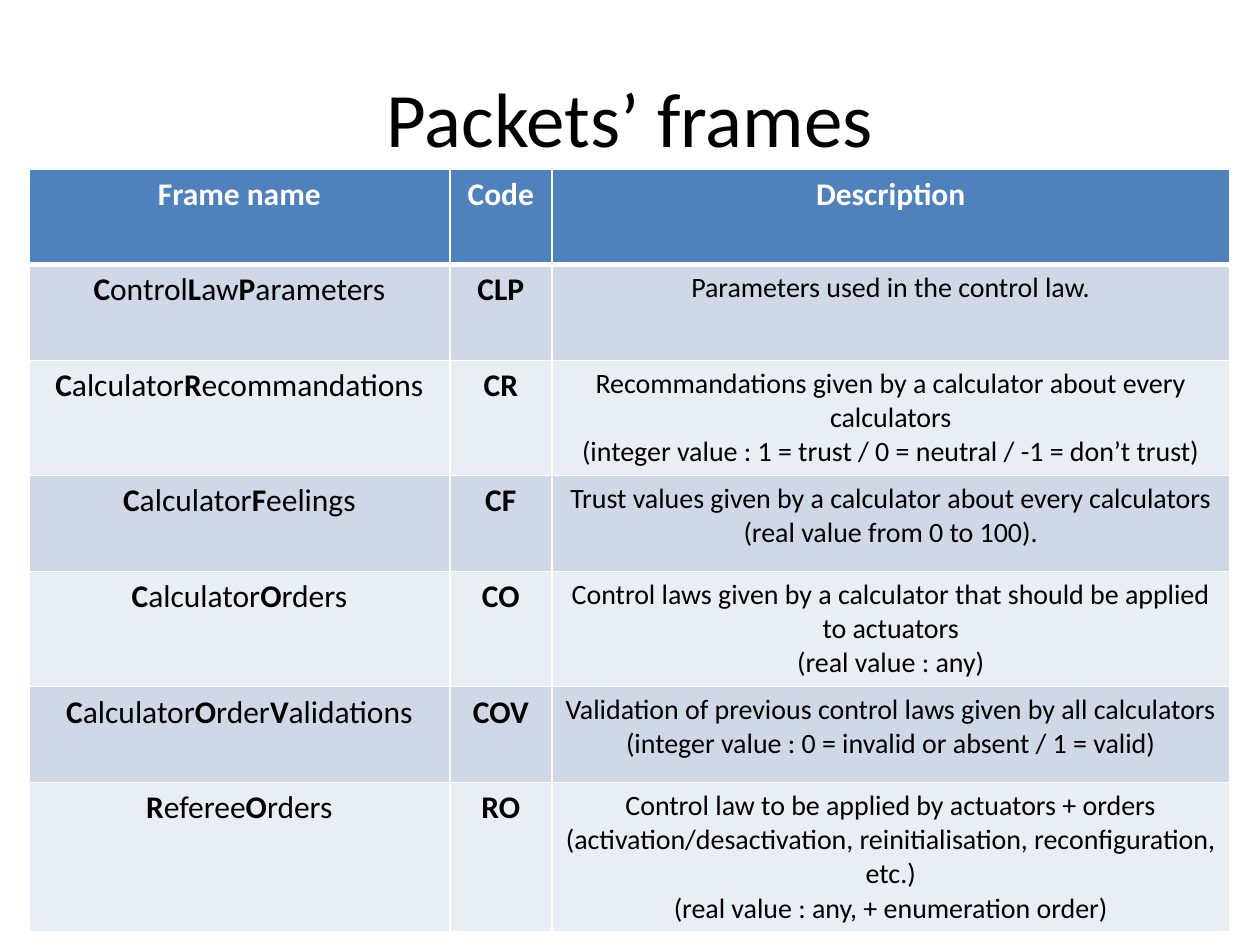
from itertools import groupby

from lxml.etree import SubElement
from pptx import Presentation
from pptx.dml.color import RGBColor
from pptx.enum.text import MSO_ANCHOR, PP_ALIGN
from pptx.oxml.ns import qn
from pptx.util import Inches, Pt

COLORS = {"text": "000000", "white": "FFFFFF", "header": "4F81BD",
          "odd": "D0D8E8", "even": "E9EDF4"}
WIDTH, HEIGHT = Inches(10), Inches(7.5)
COLUMNS = (3.34, 0.81, 5.38)
ROW_HEIGHT = 0.76
HEADINGS = ("Frame name", "Code", "Description")
FRAMES = (
    ("ControlLawParameters", "CLP", ("Parameters used in the control law.",)),
    ("CalculatorRecommandations", "CR",
     ("Recommandations given by a calculator about every calculators",
      "(integer value : 1 = trust / 0 = neutral / -1 = don’t trust)")),
    ("CalculatorFeelings", "CF",
     ("Trust values given by a calculator about every calculators",
      "(real value from 0 to 100).")),
    ("CalculatorOrders", "CO",
     ("Control laws given by a calculator that should be applied to actuators",
      "(real value : any)")),
    ("CalculatorOrderValidations", "COV",
     ("Validation of previous control laws given by all calculators",
      "(integer value : 0 = invalid or absent / 1 = valid)")),
    ("RefereeOrders", "RO",
     ("Control law to be applied by actuators + orders "
      "(activation/desactivation, reinitialisation, reconfiguration, etc.)",
      "(real value : any, + enumeration order)")),
)


def add_run(p, text, size, color="text", bold=False):
    """Append one styled run to a paragraph."""
    r = p.add_run()
    r.text = text
    r.font.name = "Calibri"
    r.font.size = Pt(size)
    r.font.bold = bold
    r.font.color.rgb = RGBColor.from_string(COLORS[color])


def write_lines(tf, lines, size, color="text", bold=False):
    """Write centred paragraphs into a text frame."""
    for i, line in enumerate(lines):
        p = tf.add_paragraph() if i else tf.paragraphs[0]
        p.alignment = PP_ALIGN.CENTER
        add_run(p, line, size, color, bold)


def write_name(tf, name):
    """Write a frame name with its capitals in bold."""
    p = tf.paragraphs[0]
    p.alignment = PP_ALIGN.CENTER
    for capital, letters in groupby(name, str.isupper):
        add_run(p, "".join(letters), 18, bold=capital)


def style_cell(cell, fill, top=1, bottom=1):
    """Set white borders and a solid fill on a cell."""
    tcPr = cell._tc.get_or_add_tcPr()
    for side, width in (("L", 1), ("R", 1), ("T", top), ("B", bottom)):
        ln = SubElement(tcPr, qn(f"a:ln{side}"), w=str(Pt(width)))
        solid = SubElement(ln, qn("a:solidFill"))
        SubElement(solid, qn("a:srgbClr"), val=COLORS["white"])
    cell.fill.solid()
    cell.fill.fore_color.rgb = RGBColor.from_string(COLORS[fill])


def add_frame_table(s):
    """Add the table of frame names, codes and descriptions."""
    rows = len(FRAMES) + 1
    sp = s.shapes.add_table(rows, len(COLUMNS), Inches(0.23), Inches(1.34),
                            Inches(sum(COLUMNS)), Inches(ROW_HEIGHT * rows))
    table = sp.table
    for column, width in zip(table.columns, COLUMNS):
        column.width = Inches(width)
    for row in table.rows:
        row.height = Inches(ROW_HEIGHT)
    for cell, heading in zip(table.rows[0].cells, HEADINGS):
        style_cell(cell, "header", bottom=3)
        write_lines(cell.text_frame, [heading], 18, "white", True)
    for i, (name, code, description) in enumerate(FRAMES, 1):
        cells = list(table.rows[i].cells)
        for cell in cells:
            style_cell(cell, "odd" if i % 2 else "even", top=3 if i == 1 else 1)
        write_name(cells[0].text_frame, name)
        write_lines(cells[1].text_frame, [code], 18, bold=True)
        write_lines(cells[2].text_frame, description, 16)


def add_title(s, text):
    """Add the centred slide title."""
    sp = s.shapes.add_textbox(int(WIDTH * 0.05), int(HEIGHT * 0.04),
                              int(WIDTH * 0.9), Inches(1.25))
    tf = sp.text_frame
    tf.word_wrap = True
    tf.vertical_anchor = MSO_ANCHOR.MIDDLE
    write_lines(tf, [text], 44)


def main():
    """Build and save the slide."""
    prs = Presentation()
    prs.slide_width, prs.slide_height = WIDTH, HEIGHT
    s = prs.slides.add_slide(prs.slide_layouts[6])
    add_frame_table(s)
    add_title(s, "Packets’ frames")
    prs.save("out.pptx")


main()
